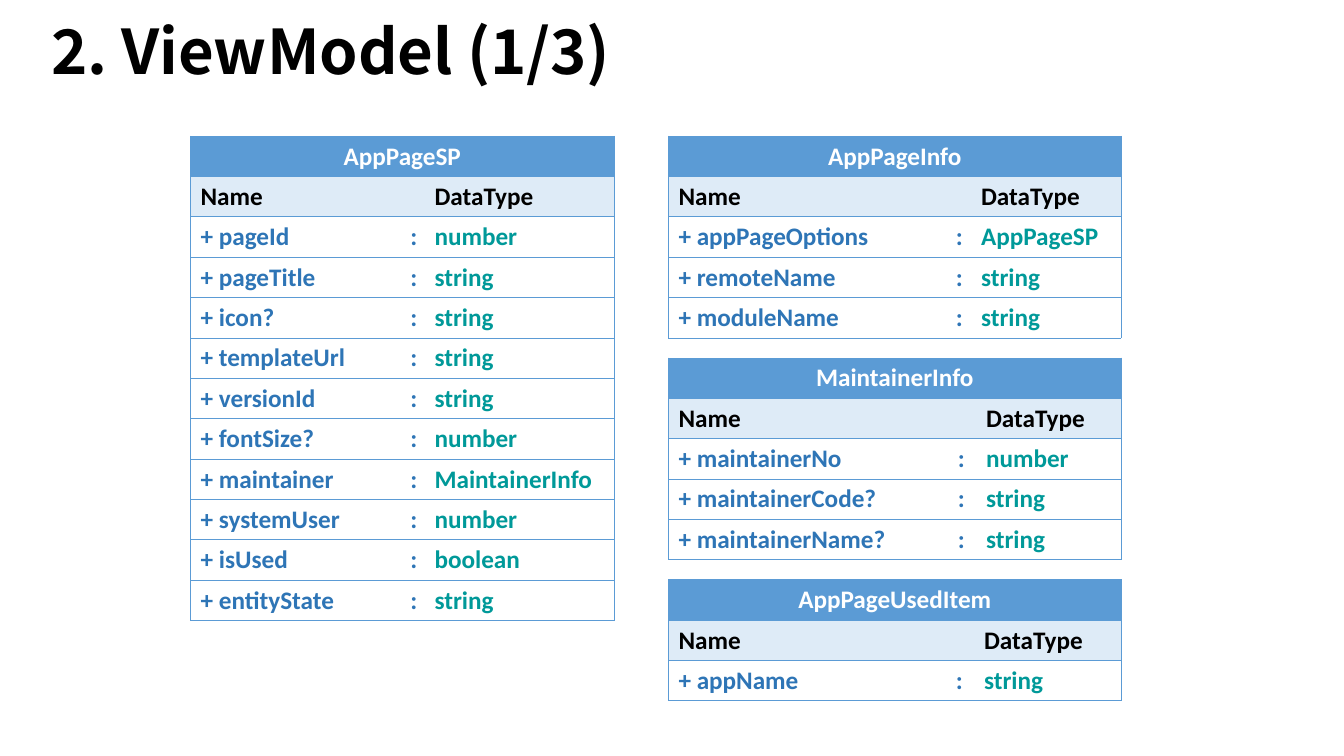
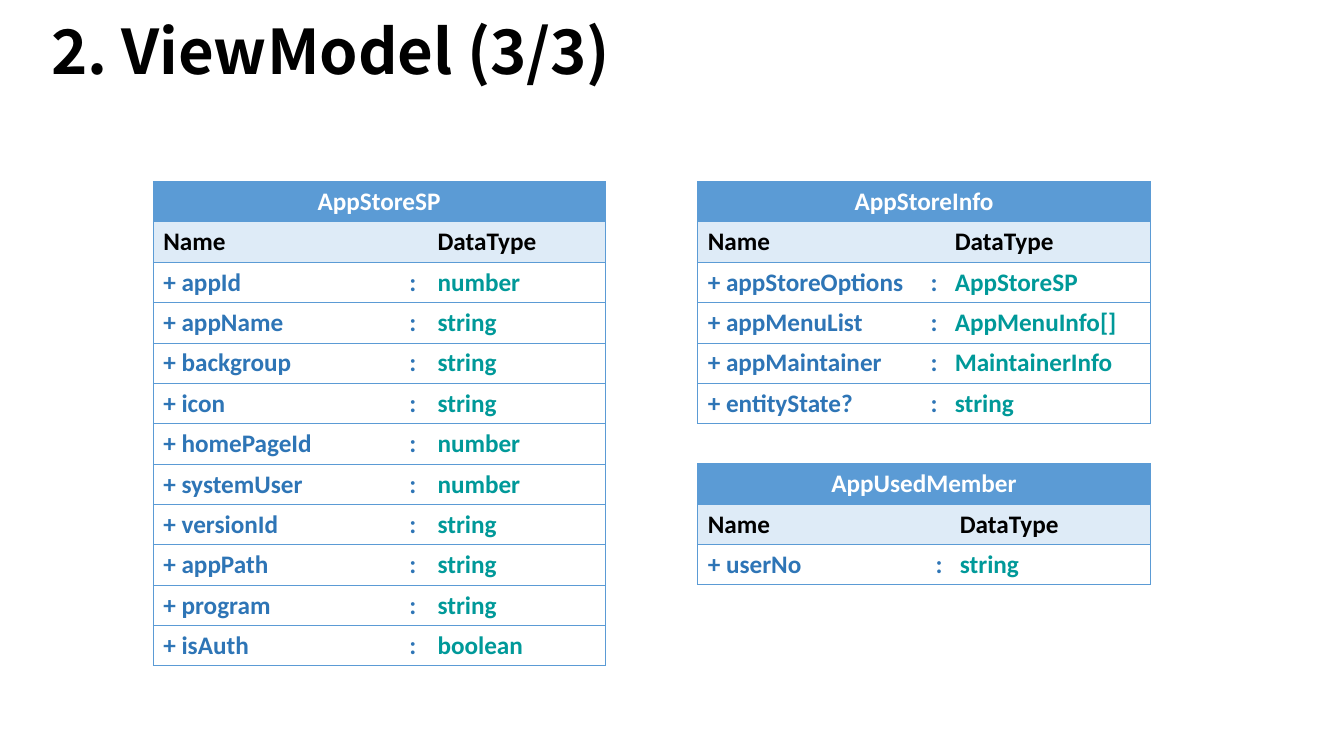
from dataclasses import dataclass
from typing import Optional

from lxml import etree
from pptx import Presentation, util as u
from pptx.dml.color import RGBColor
from pptx.enum import text
from pptx.oxml import ns

COLORS = {
    "title": "000000",
    "heading": "FFFFFF",
    "accent": "5B9BD5",
    "band": "DEEBF7",
    "name": "2E75B6",
    "type": "009999",
}
TITLE_FONT = {"name": "Noto Sans CJK SC", "size": u.Pt(44), "bold": True}
TABLE_FONT = {"name": "Calibri", "size": u.Pt(18), "bold": True}
ROW_HEIGHT = 0.4
BORDER_WIDTH = u.Pt(0.5)


@dataclass(frozen=True)
class Model:
    """A view model: table position, column widths and typed fields."""
    name: str
    left: float
    top: float
    columns: tuple[float, float, float]
    fields: dict[str, str]


@dataclass(frozen=True)
class Page:
    title: str
    models: tuple[Model, ...]


PAGES = (
    Page("2. ViewModel (1/3)", (
        Model("AppPageSP", 1.89, 1.35, (2.08, 0.24, 1.88), {
            "pageId": "number", "pageTitle": "string", "icon?": "string",
            "templateUrl": "string", "versionId": "string",
            "fontSize?": "number", "maintainer": "MaintainerInfo",
            "systemUser": "number", "isUsed": "boolean",
            "entityState": "string",
        }),
        Model("AppPageInfo", 6.63, 1.35, (2.75, 0.25, 1.49), {
            "appPageOptions": "AppPageSP", "remoteName": "string",
            "moduleName": "string",
        }),
        Model("MaintainerInfo", 6.63, 3.55, (2.77, 0.28, 1.44), {
            "maintainerNo": "number", "maintainerCode?": "string",
            "maintainerName?": "string",
        }),
        Model("AppPageUsedItem", 6.63, 5.75, (2.75, 0.28, 1.46), {
            "appName": "string",
        }),
    )),
    Page("2. ViewModel (3/3)", (
        Model("AppStoreSP", 1.52, 1.8, (2.44, 0.28, 1.76), {
            "appId": "number", "appName": "string", "backgroup": "string",
            "icon": "string", "homePageId": "number",
            "systemUser": "number", "versionId": "string",
            "appPath": "string", "program": "string", "isAuth": "boolean",
        }),
        Model("AppStoreInfo", 6.92, 1.8, (2.21, 0.24, 2.04), {
            "appStoreOptions": "AppStoreSP", "appMenuList": "AppMenuInfo[]",
            "appMaintainer": "MaintainerInfo", "entityState?": "string",
        }),
        Model("AppUsedMember", 6.92, 4.6, (2.26, 0.24, 1.99), {
            "userNo": "string",
        }),
    )),
)


def write(paragraph, content: str, font: dict, color: str) -> None:
    run = paragraph.add_run()
    run.text = content
    for attribute, value in font.items():
        setattr(run.font, attribute, value)
    run.font.color.rgb = RGBColor.from_string(COLORS[color])


def set_borders(cell, sides: str) -> None:
    """Draw the sides named by letters (L, R, T, B) and clear the others."""
    properties = cell._tc.get_or_add_tcPr()
    for side in "LRTB":
        line = etree.SubElement(properties, ns.qn(f"a:ln{side}"), w=str(BORDER_WIDTH))
        if side in sides:
            fill = etree.SubElement(line, ns.qn("a:solidFill"))
            etree.SubElement(fill, ns.qn("a:srgbClr"), val=COLORS["accent"])
        else:
            etree.SubElement(line, ns.qn("a:noFill"))


def format_cell(cell, content: str, color: str, fill: Optional[str], sides: str) -> None:
    set_borders(cell, sides)
    if fill:
        cell.fill.solid()
        cell.fill.fore_color.rgb = RGBColor.from_string(COLORS[fill])
    else:
        cell.fill.background()
    if content:
        write(cell.text_frame.paragraphs[0], content, TABLE_FONT, color)


def add_title(slide, title: str) -> None:
    box = slide.shapes.add_textbox(
        u.Inches(0.41), u.Inches(-0.1), u.Inches(9.3), u.Inches(1.28))
    frame = box.text_frame
    frame.word_wrap = True
    frame.vertical_anchor = text.MSO_ANCHOR.MIDDLE
    paragraph = frame.paragraphs[0]
    paragraph.line_spacing = 0.9
    write(paragraph, title, TITLE_FONT, "title")


def add_model(slide, model: Model) -> None:
    row_count = len(model.fields) + 2
    table = slide.shapes.add_table(
        row_count, 3, u.Inches(model.left), u.Inches(model.top),
        u.Inches(sum(model.columns)), u.Inches(ROW_HEIGHT * row_count)).table
    table.first_row = table.horz_banding = False
    for column, width in zip(table.columns, model.columns):
        column.width = u.Inches(width)
    for row in table.rows:
        row.height = u.Inches(ROW_HEIGHT)

    # Heading across all columns
    heading = table.cell(0, 0)
    heading.merge(table.cell(0, 2))
    for column in range(3):
        content = "" if column else model.name
        format_cell(table.cell(0, column), content, "heading", "accent", "LRTB")
    heading.text_frame.paragraphs[0].alignment = text.PP_ALIGN.CENTER

    # Column labels, then one row per field
    rows = [("Name", "", "DataType")]
    rows += [(f"+ {name}", ":", kind) for name, kind in model.fields.items()]
    for index, contents in enumerate(rows, start=1):
        is_label = index == 1
        colors = ("title",) * 3 if is_label else ("name", "name", "type")
        for column, sides in enumerate(("LTB", "TB", "RTB")):
            format_cell(table.cell(index, column), contents[column], colors[column],
                        "band" if is_label else None, sides)


def main() -> None:
    presentation = Presentation()
    presentation.slide_width = u.Inches(13.33)
    presentation.slide_height = u.Inches(7.5)
    for page in PAGES:
        slide = presentation.slides.add_slide(presentation.slide_layouts[6])
        add_title(slide, page.title)
        for model in page.models:
            add_model(slide, model)
    presentation.save("out.pptx")


if __name__ == "__main__":
    main()
